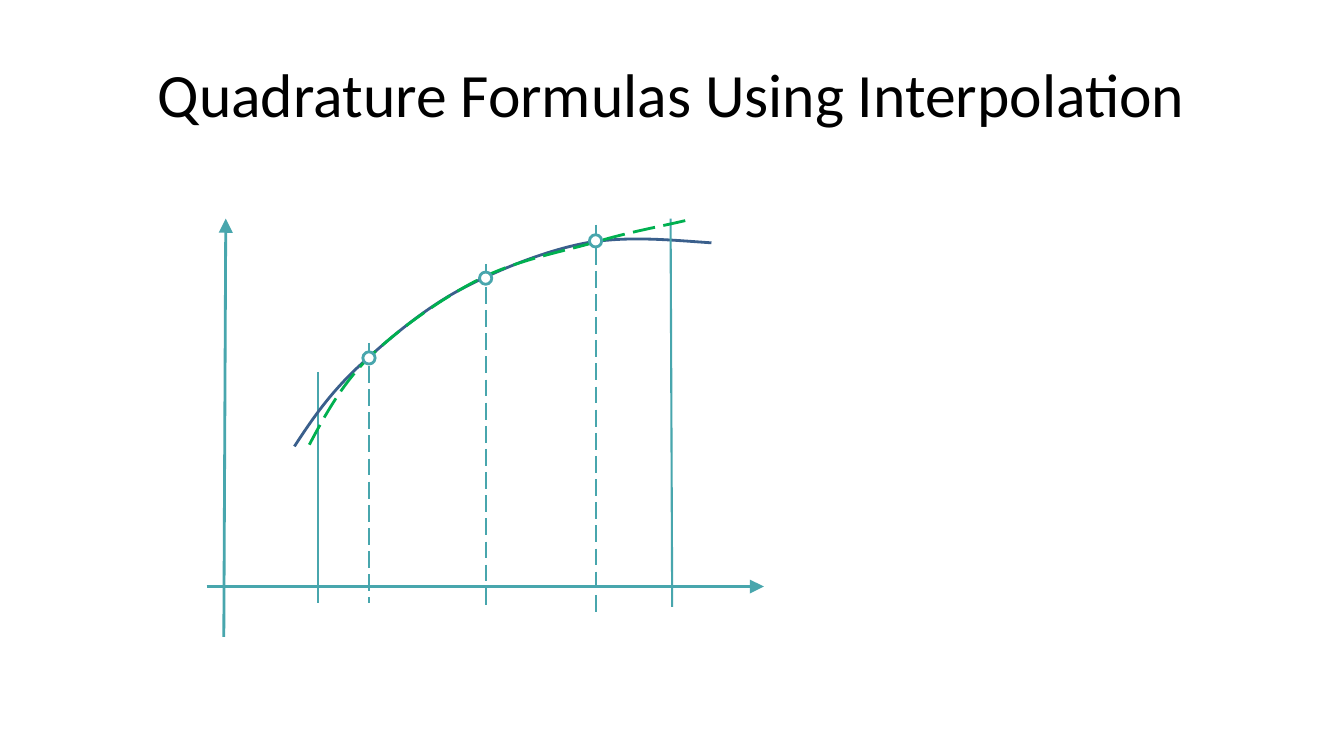
from lxml.etree import SubElement
from pptx import Presentation
from pptx.dml.color import RGBColor
from pptx.enum.dml import MSO_LINE
from pptx.enum.shapes import MSO_CONNECTOR, MSO_SHAPE
from pptx.enum.text import MSO_ANCHOR, PP_ALIGN
from pptx.oxml.ns import qn
from pptx.util import Cm, Pt

TEAL = RGBColor(0x48, 0xA6, 0xAD)
NAVY = RGBColor(0x3A, 0x5F, 0x8C)
GREEN = RGBColor(0x00, 0xB0, 0x50)
WHITE = RGBColor(0xFF, 0xFF, 0xFF)
BLACK = RGBColor(0x00, 0x00, 0x00)

TITLE = "Quadrature Formulas Using Interpolation"
LOWER_LIMIT = (8.01, 9.37, 8.01, 15.19)
UPPER_LIMIT = (16.9, 5.51, 16.94, 15.29)
X_AXIS = (5.21, 14.78, 19.25, 14.78)
Y_AXIS = (5.64, 16.05, 5.69, 5.51)
FUNCTION = [
    (7.42, 11.25), (7.85, 10.59), (8.28, 9.96), (8.97, 9.3),
    (9.68, 8.64), (10.59, 7.85), (11.56, 7.32),
    (12.52, 6.81), (13.72, 6.32), (14.78, 6.12),
    (15.85, 5.94), (16.89, 6.05), (17.93, 6.12),
]
INTERPOLANT = [
    (17.27, 5.56), (16.59, 5.72), (15.88, 5.84), (15.01, 6.1),
    (14.15, 6.35), (13.03, 6.55), (12.07, 7.04),
    (11.13, 7.52), (10.06, 8.28), (9.32, 8.99),
    (8.59, 9.7), (8.15, 10.54), (7.72, 11.35),
]
NODES = [
    {"x": 9.3, "y": 9.02, "top": 8.64, "bottom": 15.19},
    {"x": 12.24, "y": 7.01, "top": 6.65, "bottom": 15.29},
    {"x": 15.01, "y": 6.07, "top": 5.66, "bottom": 15.42},
]
NODE_SIZE = 0.31


def style_line(line, color, width, dash=None):
    """Set the colour, width and dash of a line."""
    line.color.rgb = color
    line.width = Pt(width)
    if dash:
        line.dash_style = dash


def add_line(s, ends, width, dash=None, arrow=False):
    """Add a straight teal line, optionally with an arrowhead."""
    c = s.shapes.add_connector(MSO_CONNECTOR.STRAIGHT, *map(Cm, ends))
    style_line(c.line, TEAL, width, dash)
    if arrow:
        ln = c.line._get_or_add_ln()
        SubElement(ln, qn("a:tailEnd"), type="triangle", w="lg", len="lg")
    SubElement(c._element.spPr, qn("a:effectLst"))


def add_curve(s, controls, color, dash=None):
    """Add an open curve of cubic Bézier segments."""
    start, *rest = [(Cm(x), Cm(y)) for x, y in controls]
    builder = s.shapes.build_freeform(*start)
    builder.add_line_segments(rest, close=False)
    sp = builder.convert_to_shape()
    segments = list(sp._element.iter(qn("a:lnTo")))
    outline = segments[0].getparent()
    for i in range(0, len(segments), 3):
        cubic = SubElement(outline, qn("a:cubicBezTo"))
        for segment in segments[i:i + 3]:
            cubic.append(segment[0])
            outline.remove(segment)
    sp.shadow.inherit = False
    sp.fill.background()
    style_line(sp.line, color, 2, dash)


def add_node(s, node):
    """Add an interpolation node and its dashed ordinate."""
    x = node["x"]
    add_line(s, (x, node["top"], x, node["bottom"]), 1.5, MSO_LINE.LONG_DASH)
    box = (x - NODE_SIZE / 2, node["y"] - NODE_SIZE / 2, NODE_SIZE, NODE_SIZE)
    sp = s.shapes.add_shape(MSO_SHAPE.OVAL, *map(Cm, box))
    sp.shadow.inherit = False
    sp.fill.solid()
    sp.fill.fore_color.rgb = WHITE
    style_line(sp.line, TEAL, 2)


def add_title(s):
    """Place and fill the title."""
    sp = s.shapes.title
    sp.left, sp.top, sp.width, sp.height = map(Cm, (1.69, 0.76, 30.48, 3.18))
    tf = sp.text_frame
    tf.vertical_anchor = MSO_ANCHOR.MIDDLE
    p = tf.paragraphs[0]
    p.alignment = PP_ALIGN.CENTER
    r = p.add_run()
    r.text = TITLE
    r.font.name = "Calibri"
    r.font.size = Pt(44)
    r.font.color.rgb = BLACK


def main():
    """Build the slide and save it."""
    prs = Presentation()
    prs.slide_width, prs.slide_height = Cm(33.87), Cm(19.05)
    s = prs.slides.add_slide(prs.slide_layouts[5])
    add_title(s)
    add_line(s, LOWER_LIMIT, 1.5)
    for axis in (X_AXIS, Y_AXIS):
        add_line(s, axis, 2, arrow=True)
    add_curve(s, FUNCTION, NAVY)
    add_line(s, UPPER_LIMIT, 1.5)
    add_curve(s, INTERPOLANT, GREEN, MSO_LINE.LONG_DASH)
    for node in NODES:
        add_node(s, node)
    prs.save("out.pptx")


if __name__ == "__main__":
    main()
